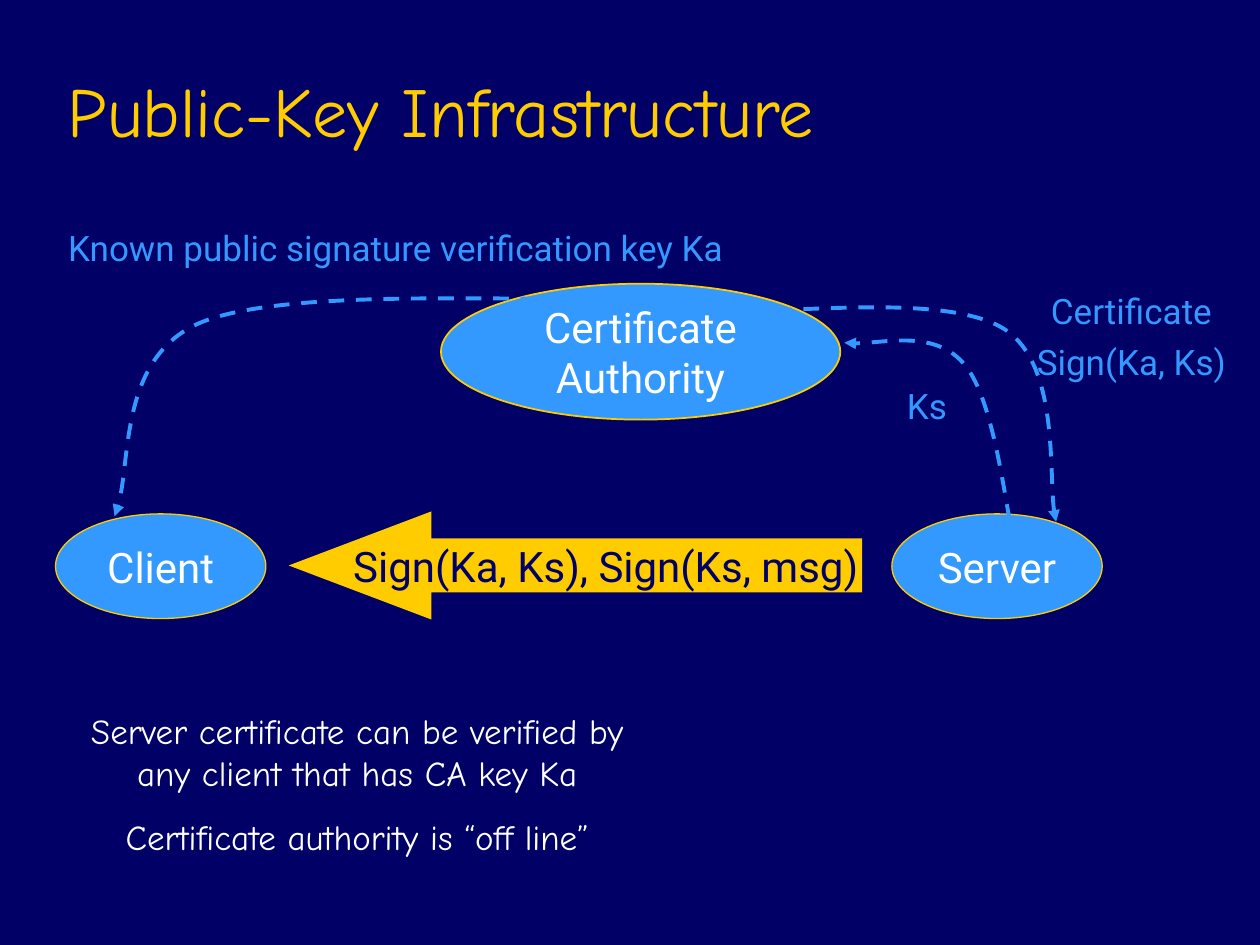
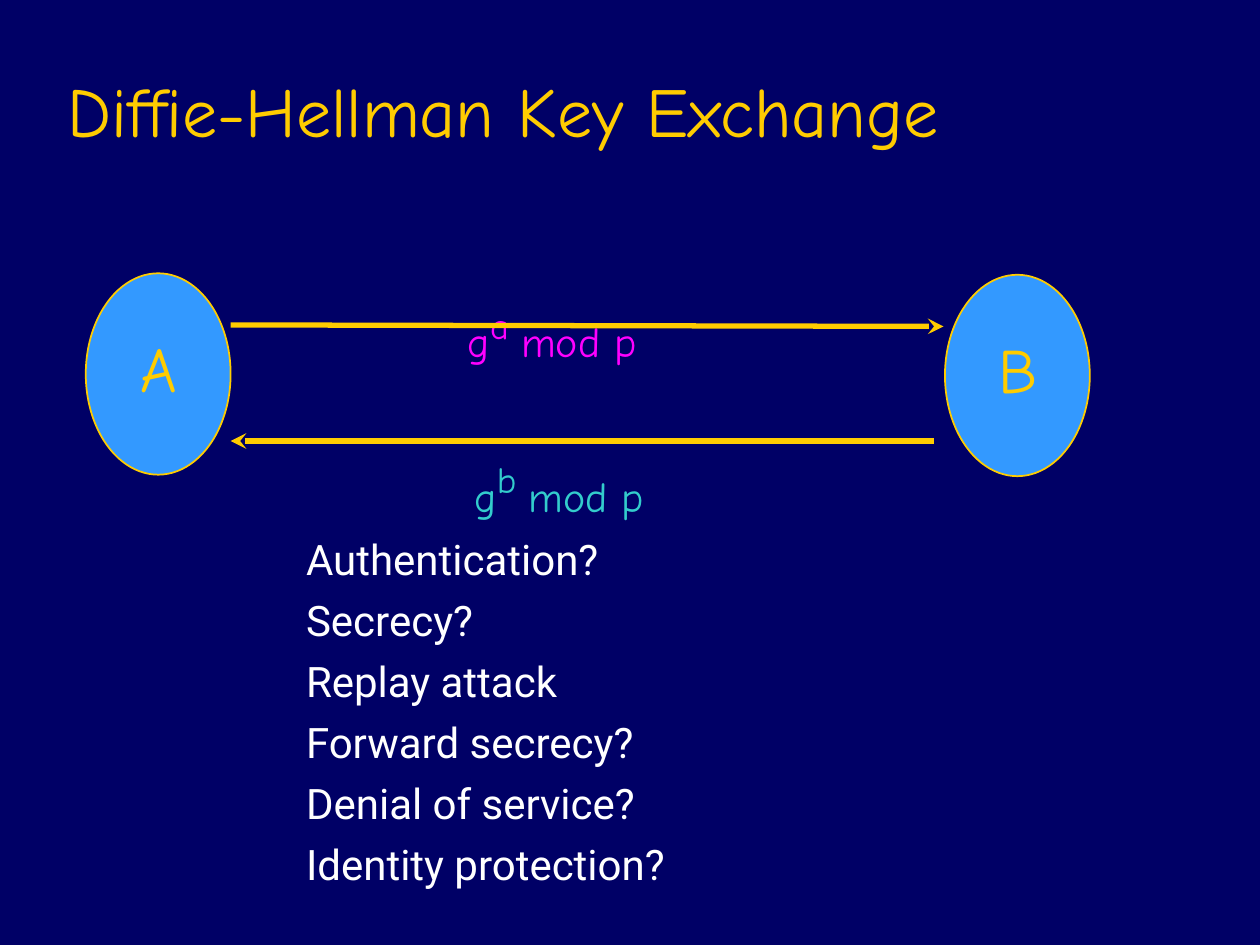
from dataclasses import dataclass

from lxml.etree import SubElement
from pptx import Presentation
from pptx.dml.color import RGBColor as Rgb
from pptx.enum.dml import MSO_LINE_DASH_STYLE as Dash
from pptx.enum.shapes import MSO_CONNECTOR as Connector, MSO_SHAPE as Shape
from pptx.enum.text import MSO_ANCHOR as Anchor, MSO_AUTO_SIZE as AutoSize, PP_ALIGN as Align
from pptx.oxml.ns import qn
from pptx.util import Cm, Pt


@dataclass(frozen=True)
class Theme:
    navy: str = "000066"
    gold: str = "FFCC00"
    blue: str = "3399FF"
    white: str = "FFFFFF"
    magenta: str = "FF00FF"
    teal: str = "33CCCC"
    hand: str = "Comic Neue"
    sans: str = "Roboto"
    title: int = 40
    letter: int = 36
    body: int = 24
    label: int = 20


THEME = Theme()


@dataclass(frozen=True)
class Box:
    """An area in centimetres."""
    left: float
    top: float
    width: float
    height: float

    def inside(self, left, top, width, height):
        return Box(self.left + left, self.top + top, width, height)

    def point(self, x, y):
        return Cm(self.left + x), Cm(self.top + y)

    def lengths(self):
        return [Cm(side) for side in (self.left, self.top, self.width, self.height)]


def set_font(font, size, color, name):
    font.size, font.name = Pt(size), name
    font.color.rgb = Rgb.from_string(color)


def write(shape, lines, size, color, name, align=Align.CENTER, before=0, indent=0):
    """Put one paragraph per line into a shape."""
    frame = shape.text_frame
    for number, line in enumerate(lines):
        para = frame.add_paragraph() if number else frame.paragraphs[0]
        para.text = line
        para.alignment = align
        para.space_before = Pt(before)
        if indent:
            set_indent(para, indent, 0)
        set_font(para.font, size, color, name)


def set_indent(para, margin, first):
    properties = para._p.get_or_add_pPr()
    properties.set("marL", str(Cm(margin)))
    properties.set("indent", str(Cm(first)))


def add_text(page, box, lines, size, color, name, fit=True, **layout):
    shape = page.shapes.add_textbox(*box.lengths())
    shape.text_frame.word_wrap = True
    if fit:
        shape.text_frame.auto_size = AutoSize.SHAPE_TO_FIT_TEXT
    write(shape, lines, size, color, name, **layout)
    return shape


def add_filled(page, kind, box, fill, line_width=0):
    shape = page.shapes.add_shape(kind, *box.lengths())
    shape.shadow.inherit = False
    shape.fill.solid()
    shape.fill.fore_color.rgb = Rgb.from_string(fill)
    if line_width:
        shape.line.color.rgb = Rgb.from_string(THEME.gold)
        shape.line.width = Pt(line_width)
    else:
        shape.line.fill.background()
    shape.text_frame.vertical_anchor = Anchor.MIDDLE
    return shape


def style_line(shape, color, width, dash=None, **ends):
    """Colour a line and add arrowheads, given as headEnd or tailEnd."""
    line = shape.line
    line.color.rgb = Rgb.from_string(color)
    line.width = Pt(width)
    if dash:
        line.dash_style = dash
    for end, kind in ends.items():
        SubElement(line._get_or_add_ln(), qn(f"a:{end}"), type=kind)


def add_curve(page, box, points):
    """Draw a dashed Bézier curve: a start, then three points per segment."""
    start, *others = [box.point(*point) for point in points]
    builder = page.shapes.build_freeform(*start)
    builder.add_line_segments(others, close=False)
    curve = builder.convert_to_shape()
    curve.shadow.inherit = False
    curve.fill.background()
    style_line(curve, THEME.blue, 2.25, Dash.DASH, headEnd="triangle", tailEnd="triangle")
    steps = curve._element.findall(".//" + qn("a:lnTo"))
    outline = steps[0].getparent()
    for first in range(0, len(steps), 3):
        bezier = SubElement(outline, qn("a:cubicBezTo"))
        for step in steps[first:first + 3]:
            bezier.append(step[0])
            outline.remove(step)


def add_arrow(page, start, end):
    arrow = page.shapes.add_connector(Connector.STRAIGHT, *start, *end)
    style_line(arrow, THEME.gold, 3, tailEnd="stealth")
    SubElement(arrow._element.spPr, qn("a:effectLst"))


def add_page(deck, title):
    page = deck.slides.add_slide(deck.slide_layouts[6])
    page.background.fill.solid()
    page.background.fill.fore_color.rgb = Rgb.from_string(THEME.navy)
    heading = add_text(page, Box(1.12, 0.64, 21.59, 2.54), [title], THEME.title,
                       THEME.gold, THEME.hand, fit=False, align=Align.LEFT)
    heading.text_frame.vertical_anchor = Anchor.BOTTOM
    return page


def draw_certificate_flow(page, box):
    # Parties
    for name, place, line_width, wrap in (
        ("Certificate Authority", (7.89, 1.72, 8.05, 2.74), 1, True),
        ("Client", (0.12, 6.36, 4.24, 2.11), 0.75, False),
        ("Server", (16.98, 6.36, 4.24, 2.11), 0.75, False),
    ):
        party = add_filled(page, Shape.OVAL, box.inside(*place), THEME.blue, line_width)
        party.text_frame.word_wrap = wrap
        write(party, [name], THEME.body, THEME.white, THEME.sans, before=6)

    # Key and certificate routes: authority to client, authority to server, server to authority
    for route in (
        [(10.56, 1.99), (9.31, 2.1), (4.49, 1.82), (2.94, 2.55),
         (1.41, 3.29), (1.67, 5.6), (1.31, 6.41)],
        [(20.29, 6.52), (20.11, 5.88), (20.34, 3.37), (19.27, 2.65),
         (18.2, 1.94), (15, 2.32), (13.88, 2.25)],
        [(19.5, 7.23), (19.32, 6.57), (19.04, 4.08), (18.46, 3.37),
         (17.87, 2.63), (16.53, 2.99), (16.02, 2.91)],
    ):
        add_curve(page, box, route)

    # Signed message from server to client
    message = add_filled(page, Shape.LEFT_ARROW, box.inside(4.82, 6.31, 11.56, 2.18), THEME.gold)
    message.adjustments[0], message.adjustments[1] = 0.5, 1.32
    message.text_frame.word_wrap = False
    write(message, ["Sign(Ka, Ks), Sign(Ks, msg) "], THEME.body, THEME.navy, THEME.sans, before=6)

    # Route labels
    for lines, place in (
        (["Known public signature verification key Ka"], (0.07, 0.45, 13.82, 1.96)),
        (["Certificate", "Sign(Ka, Ks)"], (19.42, 1.72, 4.78, 2.13)),
        (["Ks"], (16.91, 3.62, 1.55, 1.12)),
    ):
        add_text(page, box.inside(*place), lines, THEME.label, THEME.blue, THEME.sans, before=5)


def draw_notes(page, box):
    add_text(page, box, ["Server certificate can be verified by any client that has CA key Ka",
                         "Certificate authority is “off line”"],
             THEME.label, THEME.white, THEME.hand, before=12.5)


def draw_exchange(page, box):
    # Parties with their letters
    for letter, left, top in (("A", 0.23, 1.51), ("B", 17.55, 1.54)):
        oval = box.inside(left, top, 2.92, 4.06)
        add_filled(page, Shape.OVAL, oval, THEME.blue, 1)
        label = add_text(page, oval.inside(0.83, 1, 1.27, 1.78), [letter],
                         THEME.letter, THEME.gold, THEME.hand)
        label.text_frame.word_wrap = False

    # Exchanged values
    values = page.shapes.add_textbox(*box.inside(2.97, 0.45, 13.61, 5.51).lengths())
    frame = values.text_frame
    frame.word_wrap = True
    for number, (power, ending, color) in enumerate((("a ", "mod p ", THEME.magenta),
                                                     ("b ", "mod p", THEME.teal))):
        para = frame.add_paragraph() if number else frame.paragraphs[0]
        para.alignment = Align.CENTER
        para.line_spacing = 1.9
        para.space_before = Pt(6)
        set_indent(para, 0.97, -0.97)
        for text, size, raised in (("g", THEME.body, False), (power, THEME.letter, True),
                                   (ending, THEME.body, False)):
            span = para.add_run()
            span.text = text
            set_font(span.font, size, color, THEME.hand)
            if raised:
                span.font._element.set("baseline", "30000")

    # Messages there and back
    add_arrow(page, box.point(3.15, 2.55), box.point(17.52, 2.58))
    add_arrow(page, box.point(17.32, 4.89), box.point(3.15, 4.89))


def draw_questions(page, box):
    add_text(page, box, ["Authentication?", "Secrecy?", "Replay attack", "Forward secrecy?",
                         "Denial of service?", "Identity protection?"],
             THEME.body, THEME.white, THEME.sans, align=Align.LEFT, before=6, indent=1.27)


def main():
    deck = Presentation()
    deck.slide_width, deck.slide_height = Cm(25.4), Cm(19.05)

    page = add_page(deck, "Public-Key Infrastructure")
    draw_certificate_flow(page, Box(1, 4, 23.4, 9))
    draw_notes(page, Box(1.07, 14.17, 12.27, 3.25))

    page = add_page(deck, "Diffie-Hellman Key Exchange")
    draw_exchange(page, Box(1.5, 4, 21, 6))
    draw_questions(page, Box(4.65, 10.64, 17.15, 7.42))

    deck.save("out.pptx")


if __name__ == "__main__":
    main()
